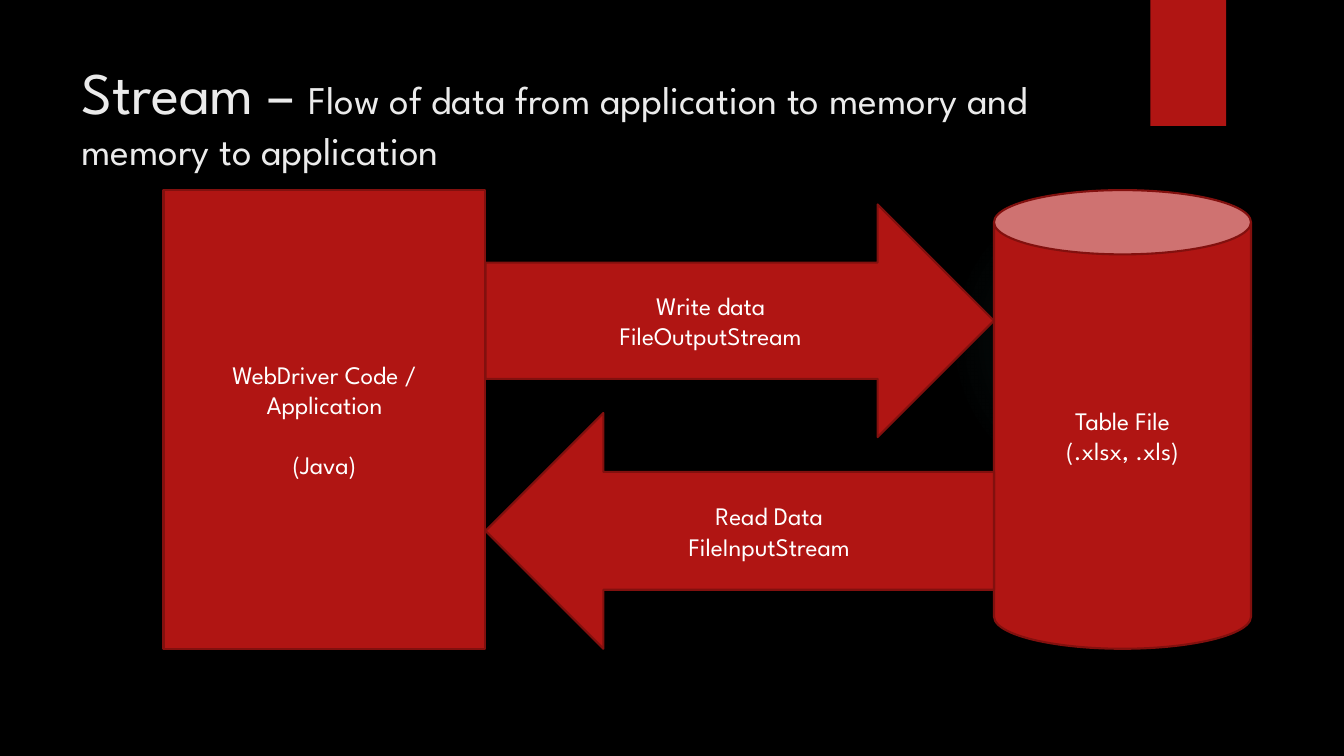
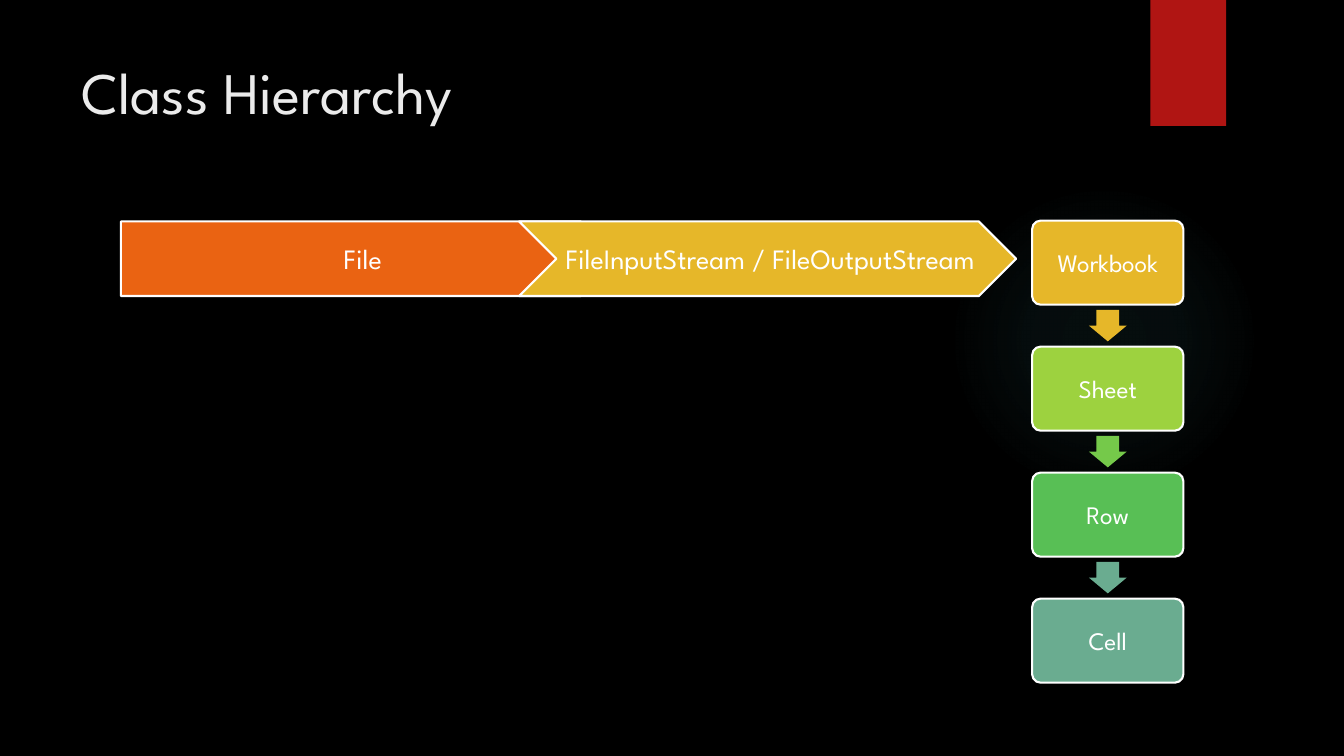
from lxml import etree
from pptx import Presentation
from pptx.dml.color import RGBColor
from pptx.enum.shapes import MSO_SHAPE
from pptx.enum.text import MSO_ANCHOR, PP_ALIGN
from pptx.oxml import parse_xml
from pptx.util import Pt

RECT, OVAL, CAN = MSO_SHAPE.RECTANGLE, MSO_SHAPE.OVAL, MSO_SHAPE.CAN
RIGHT, LEFT, DOWN = MSO_SHAPE.RIGHT_ARROW, MSO_SHAPE.LEFT_ARROW, MSO_SHAPE.DOWN_ARROW
ROUND, PLATE, CHEVRON = MSO_SHAPE.ROUNDED_RECTANGLE, MSO_SHAPE.PENTAGON, MSO_SHAPE.CHEVRON
CENTER, MIDDLE = PP_ALIGN.CENTER, MSO_ANCHOR.MIDDLE

FONT = "League Spartan"
BLACK = RGBColor(0x00, 0x00, 0x00)
WHITE = RGBColor(0xFF, 0xFF, 0xFF)
PALE = RGBColor(0xEB, 0xEB, 0xEB)
RED = RGBColor(0xB0, 0x15, 0x13)
DARK = RGBColor(0x82, 0x10, 0x0E)
ORANGE = RGBColor(0xEA, 0x63, 0x12)
GOLD = RGBColor(0xE6, 0xB7, 0x29)
LIME = RGBColor(0x9D, 0xD2, 0x3F)
LEAF = RGBColor(0x75, 0xC9, 0x4A)
GREEN = RGBColor(0x58, 0xBF, 0x55)
SAGE = RGBColor(0x6A, 0xAC, 0x90)
GLOW = RGBColor(0x50, 0xB9, 0xC1)

# Content: titles are (text, size) runs
FLOW_TITLE = [("Stream – ", 42),
              ("Flow of data from application to memory and memory to application", 28)]
CLASS_TITLE = [("Class Hierarchy", 42)]
APP = ["WebDriver Code / Application", "(Java)"]
STORE = ["Table File", "(.xlsx, .xls)"]
WRITE = ["Write data", "FileOutputStream"]
READ = ["Read Data", "FileInputStream"]
CHAIN = [("File", PLATE, ORANGE), ("FileInputStream / FileOutputStream", CHEVRON, GOLD)]
# Label, box colour, colour of the arrow below
STACK = [("Workbook", GOLD, GOLD), ("Sheet", LIME, LEAF), ("Row", GREEN, SAGE), ("Cell", SAGE, None)]


def add_part(slide, kind, box, fill=None, line=None, lines=(), size=18):
    """Add a preset shape with centred text; box is left, top, width, height."""
    part = slide.shapes.add_shape(kind, *map(Pt, box))
    part.shadow.inherit = False
    if fill is not None:
        part.fill.solid()
        part.fill.fore_color.rgb = fill
    if line is None:
        part.line.fill.background()
    else:
        part.line.color.rgb = line
        part.line.width = Pt(1.5)
    frame = part.text_frame
    frame.vertical_anchor = MIDDLE
    for i, text in enumerate(lines):
        para = frame.paragraphs[0] if i == 0 else frame.add_paragraph()
        para.text = text
        para.alignment = CENTER
        para.font.name, para.font.size = FONT, Pt(size)
        para.font.color.rgb = WHITE
    return part


def add_glow(slide):
    glow = add_part(slide, OVAL, (677.5, 131.8, 222, 222))
    stops = "".join(
        f'<a:gs pos="{pos}000"><a:srgbClr val="{GLOW}"><a:alpha val="{alpha}000"/></a:srgbClr></a:gs>'
        for pos, alpha in [(0, 7), (36, 6), (69, 0)])
    grad = parse_xml(
        '<a:gradFill xmlns:a="http://schemas.openxmlformats.org/drawingml/2006/main">'
        f'<a:gsLst>{stops}</a:gsLst><a:path path="circle">'
        '<a:fillToRect l="50000" t="50000" r="50000" b="50000"/></a:path></a:gradFill>')
    geom = glow._element.spPr.find("{*}prstGeom")
    geom.addnext(grad)


def add_slide(prs, title):
    """Start a slide with the glow, the red tab and a title."""
    slide = prs.slides.add_slide(prs.slide_layouts[6])
    add_glow(slide)
    add_part(slide, RECT, (821.8, 0, 54, 90), RED)
    frame = slide.shapes.add_textbox(Pt(51), Pt(36), Pt(741), Pt(110)).text_frame
    frame.word_wrap = True
    para = frame.paragraphs[0]
    para.font.name = FONT
    para.font.color.rgb = PALE
    for text, size in title:
        run = para.add_run()
        run.text = text
        run.font.size = Pt(size)
    return slide


def build_flow(prs):
    slide = add_slide(prs, FLOW_TITLE)
    top, high = 135.8, 327.6
    app_x, app_w, store_x, store_w = 116.8, 230, 710, 183.6
    gap_x = app_x + app_w
    span = store_x - gap_x
    app = add_part(slide, RECT, (app_x, top, app_w, high), RED, DARK, APP)
    app.text_frame.paragraphs[1].space_before = Pt(21.5)
    add_part(slide, CAN, (store_x, top, store_w, high), RED, DARK, STORE)
    add_part(slide, RIGHT, (gap_x, 146, span, 166.2), RED, DARK, WRITE)
    add_part(slide, LEFT, (gap_x, 295, span, 168.4), RED, DARK, READ)


def build_classes(prs):
    slide = add_slide(prs, CLASS_TITLE)

    # Stack of boxes joined by arrows
    left, top, wide, high, pitch = 737.3, 157.6, 108, 60, 90
    tip_w, tip_h = 27, 22.5
    for i, (label, fill, tip) in enumerate(STACK):
        y = top + i * pitch
        box = add_part(slide, ROUND, (left, y, wide, high), fill, WHITE, [label])
        box.adjustments[0] = 0.1
        if tip is not None:
            tip_x = left + (wide - tip_w) / 2
            tip_y = y + (high + pitch - tip_h) / 2
            arrow = add_part(slide, DOWN, (tip_x, tip_y, tip_w, tip_h), tip)
            arrow.adjustments[0] = 0.6

    # Chain of stream classes
    for i, (label, kind, fill) in enumerate(CHAIN):
        step = add_part(slide, kind, (86.4 + i * 284.4, 158.2, 355, 53.3), fill, WHITE, [label], 20)
        frame = step.text_frame
        frame.word_wrap = False
        frame.margin_left, frame.margin_right = Pt(6), Pt(2)


def main():
    prs = Presentation()
    prs.slide_width, prs.slide_height = Pt(960), Pt(540)
    back = prs.slide_master.background.fill
    back.solid()
    back.fore_color.rgb = BLACK
    build_flow(prs)
    build_classes(prs)
    prs.save("out.pptx")


if __name__ == "__main__":
    main()
